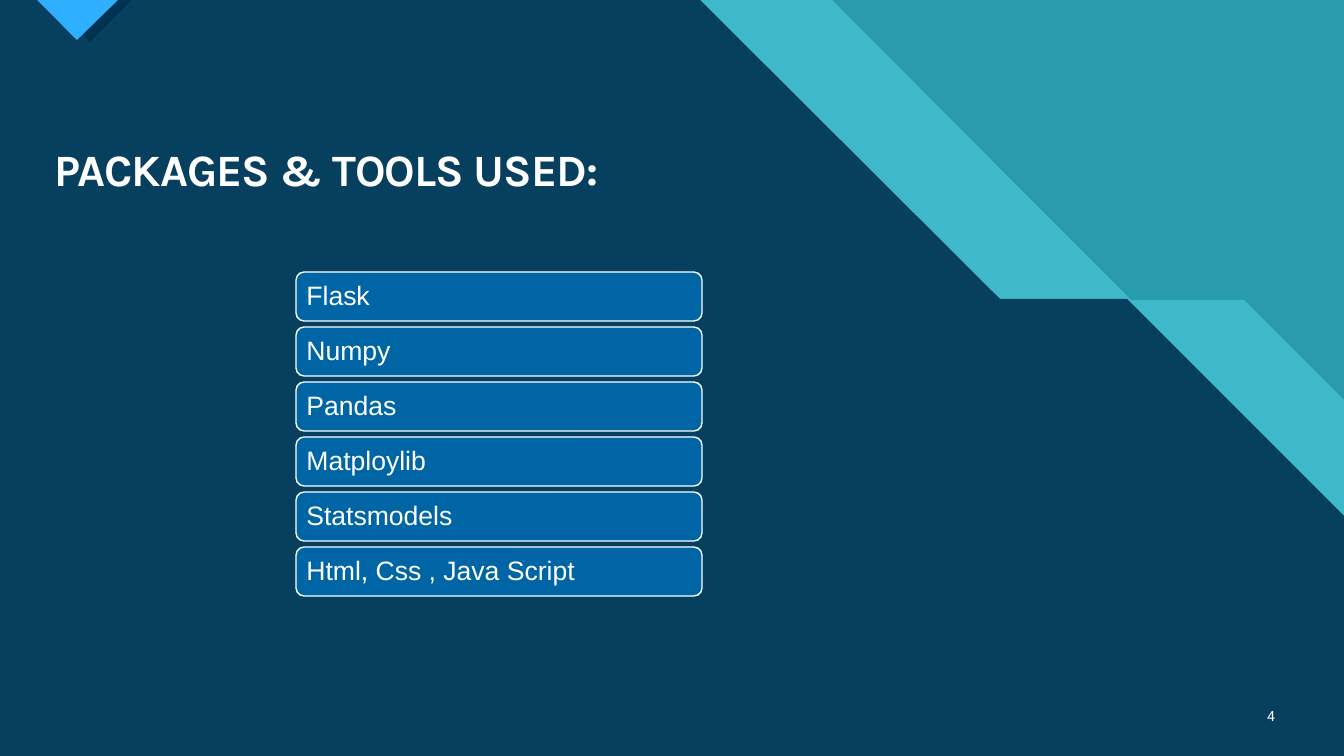
"""Build the slide listing the packages and tools used."""
import pptx
import pptx.dml.color
import pptx.enum.shapes
import pptx.enum.text
import pptx.util

RGBColor = pptx.dml.color.RGBColor
Anchor = pptx.enum.text.MSO_ANCHOR
Align = pptx.enum.text.PP_ALIGN

WHITE = RGBColor(0xFF, 0xFF, 0xFF)
TEAL = RGBColor(0x29, 0x9C, 0xAB)
LIGHT_TEAL = RGBColor(0x3F, 0xB9, 0xC9)
NAVY = RGBColor(0x06, 0x40, 0x5E)
DARK_NAVY = RGBColor(0x00, 0x33, 0x52)
SKY = RGBColor(0x2F, 0xAF, 0xFF)
BLUE = RGBColor(0x00, 0x65, 0xA4)

WIDTH, HEIGHT = 1344, 756
SCALE = 914400 / 100.8

TITLE = "PACKAGES & TOOLS USED:"
TOOLS = ["Flask", "Numpy", "Pandas", "Matploylib", "Statsmodels", "Html, Css , Java Script"]
PAGE_NUMBER = "4"

TITLE_BOX = (44, 142, 684, 60)
NUMBER_BOX = (1241, 696, 44, 40)
BAR_LEFT, BAR_TOP, BAR_WIDTH, BAR_HEIGHT, BAR_PITCH = 296, 272, 406, 49, 55

BACKDROP = [
    (LIGHT_TEAL, [(0, 0), (832, 0), (1131, 300), (1244, 300), (1344, 400),
                  (WIDTH, HEIGHT), (0, HEIGHT)]),
    (NAVY, [(0, 0), (700, 0), (1000, 299), (1127, 299), (1344, 516),
            (WIDTH, HEIGHT), (0, HEIGHT)]),
    (DARK_NAVY, [(48, 0), (132, 0), (90, 42)]),
    (SKY, [(37, 0), (118, 0), (77, 40)]),
]


def px(length):
    return pptx.util.Emu(round(length * SCALE))


def place(shape, box):
    shape.left, shape.top, shape.width, shape.height = map(px, box)


def write(shape, text, font_name, size, bold=False, align=Align.LEFT, spacing=1.0):
    frame = shape.text_frame
    frame.text = text
    frame.word_wrap = True
    frame.auto_size = pptx.enum.text.MSO_AUTO_SIZE.NONE
    frame.vertical_anchor = Anchor.MIDDLE
    paragraph = frame.paragraphs[0]
    paragraph.alignment = align
    paragraph.line_spacing = spacing
    font = paragraph.runs[0].font
    font.name, font.size, font.bold = font_name, pptx.util.Pt(size), bold
    font.color.rgb = WHITE


def paint(shape, color):
    shape.shadow.inherit = False
    shape.fill.solid()
    shape.fill.fore_color.rgb = color


def add_backdrop(slide):
    slide.background.fill.solid()
    slide.background.fill.fore_color.rgb = TEAL
    for color, points in BACKDROP:
        builder = slide.shapes.build_freeform(*points[0], scale=SCALE)
        builder.add_line_segments(points[1:], close=True)
        shape = builder.convert_to_shape()
        paint(shape, color)
        shape.line.fill.background()


def add_title(slide):
    title = slide.shapes.title
    place(title, TITLE_BOX)
    write(title, TITLE, "Karla", 32, bold=True, spacing=0.9)
    run = title.text_frame.paragraphs[0].runs[0]
    run._r.get_or_add_rPr().set("spc", "-70")
    slide.shapes._spTree.append(title._element)


def add_tools(slide):
    for index, tool in enumerate(TOOLS):
        box = (BAR_LEFT, BAR_TOP + index * BAR_PITCH, BAR_WIDTH, BAR_HEIGHT)
        bar = slide.shapes.add_shape(
            pptx.enum.shapes.MSO_SHAPE.ROUNDED_RECTANGLE, *map(px, box))
        paint(bar, BLUE)
        bar.line.color.rgb = WHITE
        bar.line.width = pptx.util.Pt(1)
        write(bar, tool, "Arial", 19, spacing=0.9)
        bar.text_frame.margin_left = px(8)


def main():
    presentation = pptx.Presentation()
    presentation.slide_width, presentation.slide_height = px(WIDTH), px(HEIGHT)
    slide = presentation.slides.add_slide(presentation.slide_layouts[5])
    add_backdrop(slide)
    add_title(slide)
    add_tools(slide)
    number = slide.shapes.add_textbox(*map(px, NUMBER_BOX))
    write(number, PAGE_NUMBER, "Roboto", 10, align=Align.RIGHT)
    presentation.save("out.pptx")


if __name__ == "__main__":
    main()
